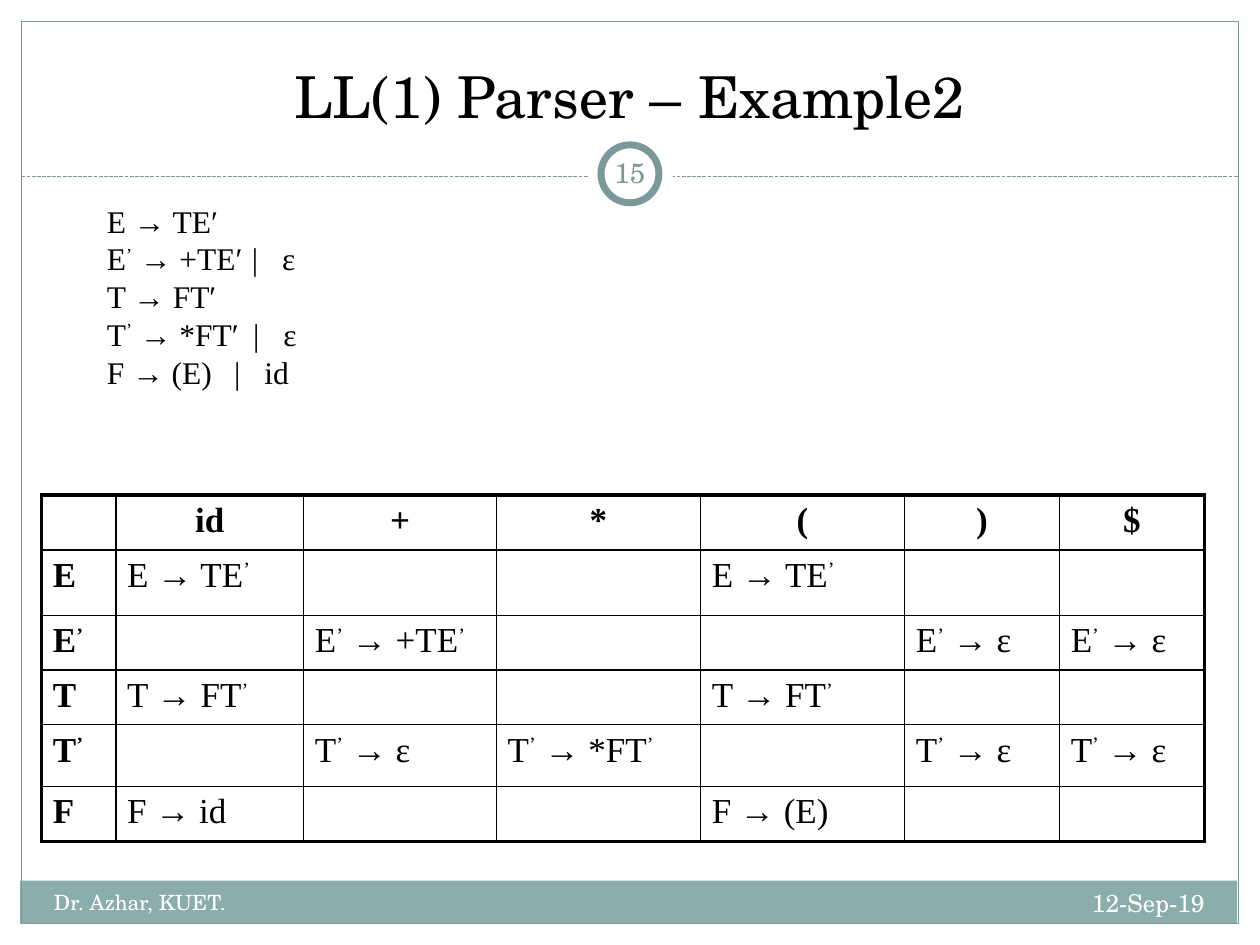
from dataclasses import dataclass
from typing import Optional

from lxml import etree
from pptx import Presentation
from pptx.dml.color import RGBColor
from pptx.enum.dml import MSO_LINE
from pptx.enum.shapes import MSO_CONNECTOR, MSO_SHAPE
from pptx.enum.text import MSO_ANCHOR, PP_ALIGN
from pptx.oxml.ns import qn
from pptx.util import Inches, Pt

BLACK = RGBColor(0x00, 0x00, 0x00)
WHITE = RGBColor(0xFF, 0xFF, 0xFF)
TEAL = RGBColor(0x7C, 0x99, 0x9A)
FOOTER_TEAL = RGBColor(0x8C, 0xAD, 0xAE)
LEFT, CENTER, RIGHT = PP_ALIGN.LEFT, PP_ALIGN.CENTER, PP_ALIGN.RIGHT
TOP, MIDDLE, BOTTOM = MSO_ANCHOR.TOP, MSO_ANCHOR.MIDDLE, MSO_ANCHOR.BOTTOM
RECTANGLE, OVAL = MSO_SHAPE.RECTANGLE, MSO_SHAPE.OVAL
STRAIGHT = MSO_CONNECTOR.STRAIGHT
DASH = MSO_LINE.SQUARE_DOT
SCHOOL_FONT = "TeX Gyre Schola"
FORMULA_FONT = "Times New Roman"
PRIME = "’"


@dataclass
class Panel:
    kind: int
    left: float
    top: float
    width: float
    height: float
    fill: Optional[RGBColor] = None
    line_width: float = 0


@dataclass
class Label:
    text: str
    left: float
    top: float
    width: float
    height: float
    size: float
    color: RGBColor
    align: int = LEFT
    anchor: int = TOP
    inset: float = 0.1


@dataclass
class Rule:
    text: str
    stops: tuple = ()


FOOTER = Panel(RECTANGLE, 0.16, 6.99, 9.66, 0.34, FOOTER_TEAL)
FRAME = Panel(RECTANGLE, 0.17, 0.17, 9.66, 7.16, None, 0.75)
BADGE = [
    Panel(OVAL, 4.67, 1.05, 0.67, 0.67, WHITE),
    Panel(OVAL, 4.77, 1.15, 0.46, 0.46, WHITE, 4),
]
LABELS = [
    Label("LL(1) Parser – Example2", 0.33, 0.25, 9.33, 0.83, 33, BLACK, CENTER, BOTTOM),
    Label("12-Sep-19", 6.33, 7, 3.33, 0.4, 14, WHITE, RIGHT),
    Label("Dr. Azhar, KUET.", 0.33, 7.01, 3.92, 0.4, 12, WHITE),
    Label("15", 4.75, 1.13, 0.5, 0.48, 16, TEAL, CENTER, MIDDLE, 0.05),
]
GRAMMAR = [
    Rule("E → TE′"),
    Rule("E’ → +TE′\t|\tε", (1.15, 1.39)),
    Rule("T → FT′"),
    Rule("T’ → *FT′\t|\tε", (1.16, 1.4)),
    Rule("F → (E)\t|\tid", (1.01, 1.25)),
]
TERMINALS = ["id", "+", "*", "(", ")", "$"]
PRODUCTIONS = {
    "E": {"id": "E → TE’", "(": "E → TE’"},
    "E’": {"+": "E’ → +TE’", ")": "E’ → ε", "$": "E’ → ε"},
    "T": {"id": "T → FT’", "(": "T → FT’"},
    "T’": {"+": "T’ → ε", "*": "T’ → *FT’", ")": "T’ → ε", "$": "T’ → ε"},
    "F": {"id": "F → id", "(": "F → (E)"},
}
COLUMN_WIDTHS = [0.59, 1.49, 1.53, 1.62, 1.62, 1.23, 1.15]
ROW_HEIGHTS = [0.43, 0.52, 0.43, 0.43, 0.49, 0.44]


def add_panel(page, panel: Panel) -> None:
    shape = page.shapes.add_shape(panel.kind, Inches(panel.left), Inches(panel.top),
                                  Inches(panel.width), Inches(panel.height))
    shape.shadow.inherit = False
    if panel.fill is None:
        shape.fill.background()
    else:
        shape.fill.solid()
        shape.fill.fore_color.rgb = panel.fill
    if panel.line_width:
        shape.line.color.rgb = TEAL
        shape.line.width = Pt(panel.line_width)
    else:
        shape.line.fill.background()


def add_divider(page) -> None:
    divider = page.shapes.add_connector(STRAIGHT, Inches(0.17), Inches(1.4),
                                        Inches(9.83), Inches(1.4))
    divider.line.color.rgb = TEAL
    divider.line.width = Pt(0.75)
    divider.line.dash_style = DASH
    etree.SubElement(divider._element.spPr, qn("a:effectLst"))


def add_span(para, text: str, font: str, size: float, color: RGBColor, bold: bool = False):
    span = para.add_run()
    span.text = text
    span.font.name = font
    span.font.size = Pt(size)
    span.font.bold = bold
    span.font.color.rgb = color
    return span


def add_formula(para, text: str, size: float, bold: bool = False) -> None:
    for index, part in enumerate(text.split(PRIME)):
        if index:
            prime = add_span(para, PRIME, FORMULA_FONT, size, BLACK, bold)
            prime._r.get_or_add_rPr().set("baseline", "30000")
        if part:
            add_span(para, part, FORMULA_FONT, size, BLACK, bold)


def add_label(page, label: Label) -> None:
    box = page.shapes.add_textbox(Inches(label.left), Inches(label.top),
                                  Inches(label.width), Inches(label.height))
    frame = box.text_frame
    frame.word_wrap = True
    frame.vertical_anchor = label.anchor
    frame.margin_left = frame.margin_right = Inches(label.inset)
    para = frame.paragraphs[0]
    para.alignment = label.align
    add_span(para, label.text, SCHOOL_FONT, label.size, label.color)


def add_grammar(page) -> None:
    box = page.shapes.add_textbox(Inches(0.75), Inches(1.55), Inches(1.79), Inches(1.62))
    frame = box.text_frame
    frame.word_wrap = True
    for index, rule in enumerate(GRAMMAR):
        para = frame.add_paragraph() if index else frame.paragraphs[0]
        if rule.stops:
            tabs = etree.SubElement(para._p.get_or_add_pPr(), qn("a:tabLst"))
            for stop in rule.stops:
                etree.SubElement(tabs, qn("a:tab"), pos=str(Inches(stop)), algn="l")
        add_formula(para, rule.text, 18)


def set_borders(cell, outer: dict) -> None:
    properties = cell._tc.get_or_add_tcPr()
    for side in "LRTB":
        width = Pt(2.25 if outer[side] else 1)
        line = etree.SubElement(properties, qn(f"a:ln{side}"), w=str(width))
        fill = etree.SubElement(line, qn("a:solidFill"))
        etree.SubElement(fill, qn("a:srgbClr"), val=str(BLACK))


def add_parse_table(page) -> None:
    rows = [["", *TERMINALS]]
    rows += [[head, *(entries.get(terminal, "") for terminal in TERMINALS)]
             for head, entries in PRODUCTIONS.items()]
    last_row, last_column = len(rows) - 1, len(TERMINALS)
    table = page.shapes.add_table(len(rows), last_column + 1, Inches(0.33), Inches(3.93),
                                  Inches(sum(COLUMN_WIDTHS)), Inches(sum(ROW_HEIGHTS))).table
    table.first_row = table.horz_banding = False
    for column, width in zip(table.columns, COLUMN_WIDTHS):
        column.width = Inches(width)
    for r, texts in enumerate(rows):
        table.rows[r].height = Inches(ROW_HEIGHTS[r])
        for c, text in enumerate(texts):
            cell = table.cell(r, c)
            cell.margin_left = cell.margin_right = Inches(0.09)
            set_borders(cell, {"L": c == 0, "R": c == last_column,
                               "T": r == 0, "B": r == last_row})
            cell.fill.background()
            para = cell.text_frame.paragraphs[0]
            para.alignment = LEFT if r else CENTER
            if text:
                before = etree.SubElement(para._p.get_or_add_pPr(), qn("a:spcBef"))
                etree.SubElement(before, qn("a:spcPct"), val="20000")
                add_formula(para, text, 20, r == 0 or c == 0)


deck = Presentation()
deck.slide_width, deck.slide_height = Inches(10), Inches(7.5)
page = deck.slides.add_slide(deck.slide_layouts[6])
add_panel(page, FOOTER)
add_panel(page, FRAME)
add_divider(page)
for ring in BADGE:
    add_panel(page, ring)
for label in LABELS:
    add_label(page, label)
add_grammar(page)
add_parse_table(page)
deck.save("out.pptx")
